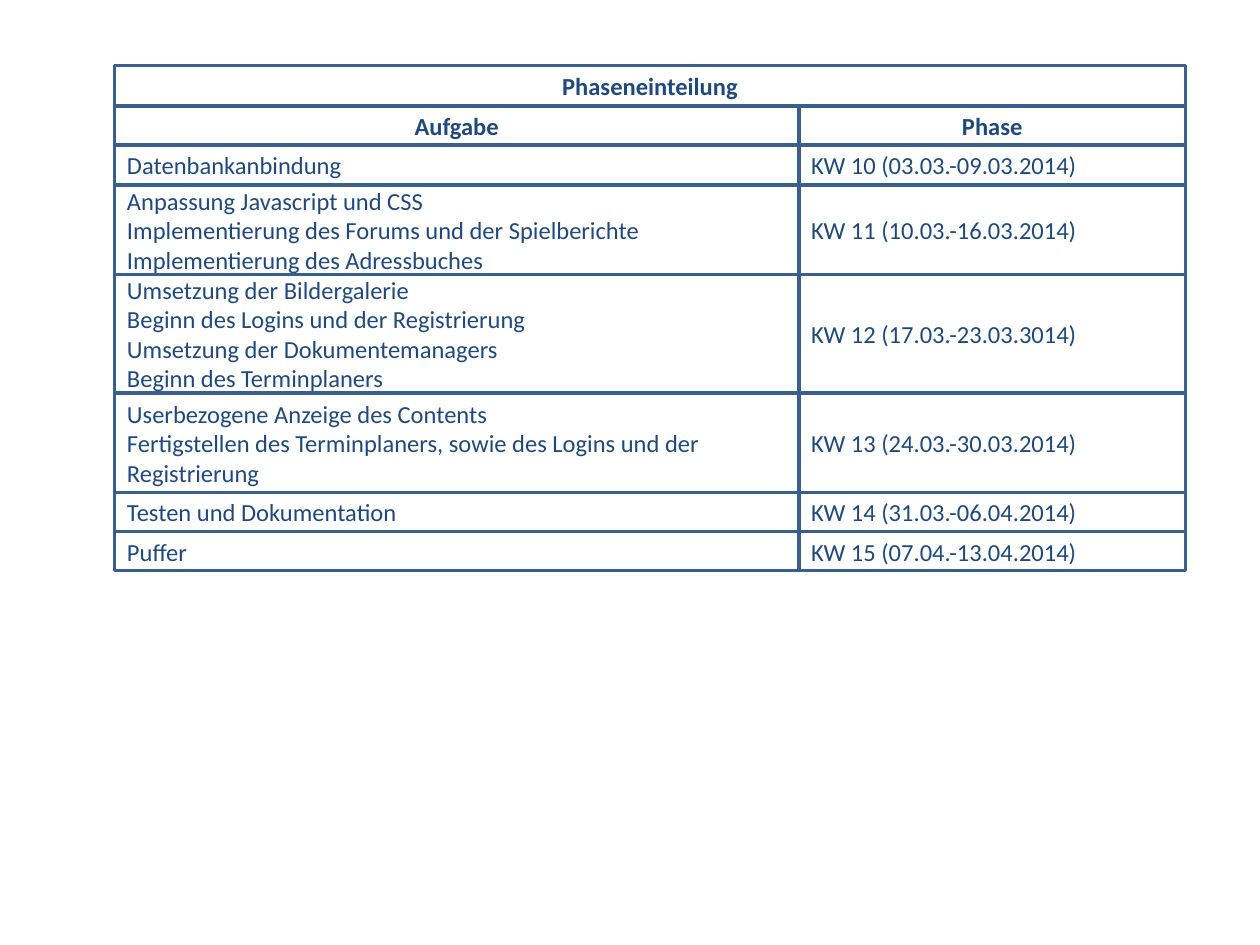
from dataclasses import dataclass

import pptx
import pptx.dml.color
import pptx.enum.shapes
import pptx.enum.text
import pptx.util
from pptx.util import Inches

TEXT = "1F497D"
BORDER = "3A5F8C"


@dataclass
class Row:
    height: float
    cells: list[str]
    header: bool = False


ROWS = [
    Row(0.32, ["Phaseneinteilung"], True),
    Row(0.31, ["Aufgabe", "Phase"], True),
    Row(0.32, ["Datenbankanbindung", "KW 10 (03.03.-09.03.2014)"]),
    Row(0.71, ["Anpassung Javascript und CSS\n"
               "Implementierung des Forums und der Spielberichte\n"
               "Implementierung des Adressbuches", "KW 11 (10.03.-16.03.2014)"]),
    Row(0.94, ["Umsetzung der Bildergalerie\n"
               "Beginn des Logins und der Registrierung\n"
               "Umsetzung der Dokumentemanagers\n"
               "Beginn des Terminplaners", "KW 12 (17.03.-23.03.3014)"]),
    Row(0.79, ["Userbezogene Anzeige des Contents\n"
               "Fertigstellen des Terminplaners, sowie des Logins und der Registrierung",
               "KW 13 (24.03.-30.03.2014)"]),
    Row(0.31, ["Testen und Dokumentation", "KW 14 (31.03.-06.04.2014)"]),
    Row(0.31, ["Puffer", "KW 15 (07.04.-13.04.2014)"]),
]
WIDTHS = [5.43, 3.07]
FRAME_FORMAT = {
    "margin_left": Inches(0.1),
    "margin_right": Inches(0.1),
    "margin_top": Inches(0.05),
    "margin_bottom": Inches(0.05),
    "vertical_anchor": pptx.enum.text.MSO_ANCHOR.MIDDLE,
    "word_wrap": True,
}
FONT_FORMAT = {"name": "Calibri", "size": pptx.util.Pt(14)}


def rgb(color: str) -> pptx.dml.color.RGBColor:
    return pptx.dml.color.RGBColor.from_string(color)


def apply(target: object, values: dict) -> None:
    for name, value in values.items():
        setattr(target, name, value)


def draw_cell(s: object, left: float, top: float, width: float, height: float,
              text: str, header: bool) -> None:
    align = pptx.enum.text.PP_ALIGN
    sp = s.shapes.add_shape(pptx.enum.shapes.MSO_SHAPE.RECTANGLE, Inches(left),
                            Inches(top), Inches(width), Inches(height))
    sp.shadow.inherit = False
    sp.fill.background()
    sp.line.color.rgb = rgb(BORDER)
    sp.line.width = pptx.util.Pt(2)
    tf = sp.text_frame
    apply(tf, FRAME_FORMAT)
    tf.text = text
    for p in tf.paragraphs:
        p.alignment = align.CENTER if header else align.LEFT
        for r in p.runs:
            apply(r.font, FONT_FORMAT | {"bold": header})
            r.font.color.rgb = rgb(TEXT)


def draw_schedule(s: object, rows: list[Row], left: float, top: float) -> None:
    for row in rows:
        widths = WIDTHS if len(row.cells) > 1 else [sum(WIDTHS)]
        x = left
        for text, width in zip(row.cells, widths):
            draw_cell(s, x, top, width, row.height, text, row.header)
            x += width
        top += row.height


def main() -> None:
    prs = pptx.Presentation()
    apply(prs, {"slide_width": Inches(10), "slide_height": Inches(7.5)})
    s = prs.slides.add_slide(prs.slide_layouts[6])
    draw_schedule(s, ROWS, 0.91, 0.52)
    prs.save("out.pptx")


if __name__ == "__main__":
    main()
